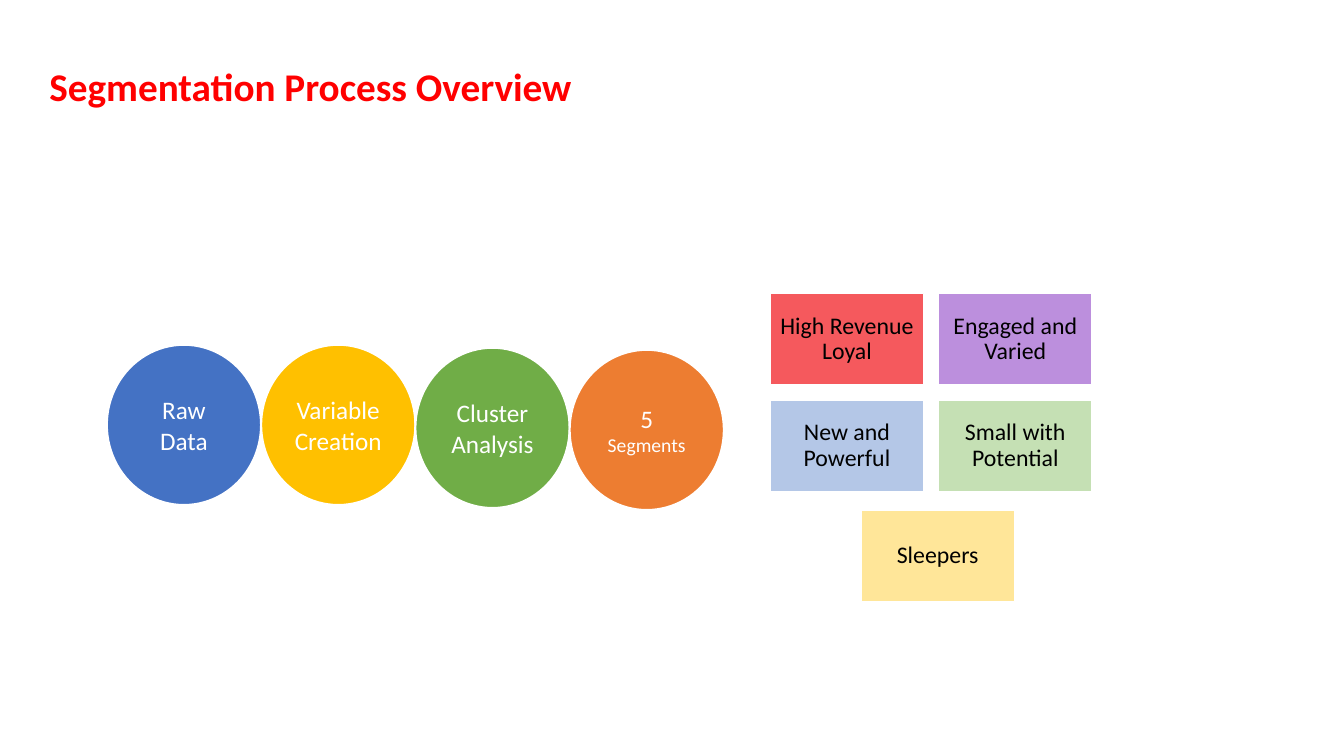
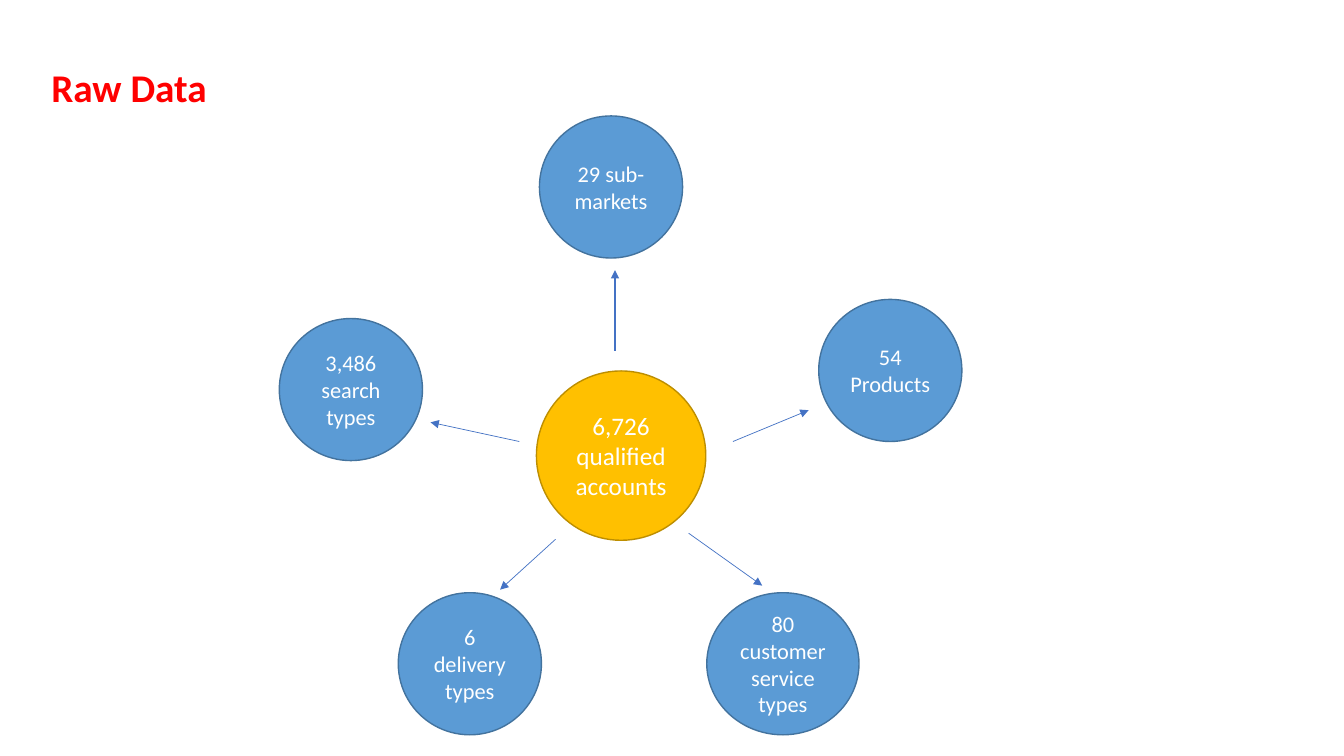
from lxml import etree
from pptx import Presentation
from pptx.dml.color import RGBColor
from pptx.enum.shapes import MSO_CONNECTOR, MSO_SHAPE
from pptx.enum.text import MSO_ANCHOR, PP_ALIGN
from pptx.oxml.ns import qn
from pptx.util import Inches, Pt

OVAL, RECT = MSO_SHAPE.OVAL, MSO_SHAPE.RECTANGLE
LINE = MSO_CONNECTOR.STRAIGHT
MIDDLE = MSO_ANCHOR.MIDDLE
LEFT, CENTER = PP_ALIGN.LEFT, PP_ALIGN.CENTER

WHITE = RGBColor(0xFF, 0xFF, 0xFF)
BLACK = RGBColor(0x00, 0x00, 0x00)
RED = RGBColor(0xFF, 0x00, 0x00)
BLUE = RGBColor(0x44, 0x72, 0xC4)
GOLD = RGBColor(0xFF, 0xC0, 0x00)
GREEN = RGBColor(0x70, 0xAD, 0x47)
ORANGE = RGBColor(0xED, 0x7D, 0x31)
CORAL = RGBColor(0xF5, 0x59, 0x5D)
LILAC = RGBColor(0xBC, 0x8F, 0xDD)
PALE_BLUE = RGBColor(0xB4, 0xC7, 0xE7)
PALE_GREEN = RGBColor(0xC5, 0xE0, 0xB4)
PALE_GOLD = RGBColor(0xFF, 0xE6, 0x99)
SKY = RGBColor(0x5B, 0x9B, 0xD5)
DARK_SKY = RGBColor(0x43, 0x73, 0x9E)
DARK_GOLD = RGBColor(0xBD, 0x8E, 0x00)
FONT = "Calibri"

# Each text is a list of (words, point size) runs.
STEPS = [
    ([("Raw Data", 18)], BLUE, 3.42),
    ([("Variable Creation", 18)], GOLD, 3.42),
    ([("Cluster Analysis", 18)], GREEN, 3.45),
    ([("5 ", 18), ("Segments", 14)], ORANGE, 3.47),
]
SEGMENTS = [
    ("High Revenue Loyal", CORAL),
    ("Engaged and Varied", LILAC),
    ("New and Powerful", PALE_BLUE),
    ("Small with Potential", PALE_GREEN),
    ("Sleepers", PALE_GOLD),
]
HUB = ("6,726 qualified accounts", (5.32, 3.68, 1.68, 1.68))
# Words, left, top and width of each circle around the hub.
FACTS = [
    ("3,486 search types", 2.77, 3.16, 1.42),
    ("29 sub-markets", 5.35, 1.15, 1.42),
    ("54 Products", 8.12, 2.97, 1.42),
    ("6 delivery types", 3.95, 5.88, 1.42),
    ("80 customer service types", 7.01, 5.88, 1.51),
]
FACT_H = 1.41
# Start, end and line width of each arrow.
ARROWS = [
    ((6.1, 3.48), (6.1, 2.68), 1),
    ((5.15, 4.38), (4.27, 4.19), 0.5),
    ((7.27, 4.38), (8.02, 4.07), 0.5),
    ((5.51, 5.35), (4.96, 5.85), 0.5),
    ((6.83, 5.29), (7.56, 5.81), 0.5),
]
STEP_X, STEP_W, STEP_H = 1.06, 1.53, 1.59
GRID_X, GRID_Y, STRIDE_X, STRIDE_Y = 7.64, 2.91, 1.67, 1.06
CARD_W, CARD_H = 1.52, 0.91
LAST_X, LAST_Y = 8.54, 5.06


def assign(item, values):
    """Set each named attribute of an item."""
    for name, value in values.items():
        setattr(item, name, value)


def write(shape, runs, color, align=CENTER, bold=False, pad=None, spacing=1.0):
    """Fill a shape with one paragraph of formatted runs."""
    frame = shape.text_frame
    assign(frame, {"word_wrap": True, "vertical_anchor": MIDDLE})
    if pad is not None:
        sides = ("left", "right", "top", "bottom")
        assign(frame, {f"margin_{side}": Inches(pad) for side in sides})
    para = frame.paragraphs[0]
    assign(para, {"alignment": align, "line_spacing": spacing})
    for words, size in runs:
        run = para.add_run()
        run.text = words
        assign(run.font, {"name": FONT, "size": Pt(size), "bold": bold})
        run.font.color.rgb = color


def add_page(deck, title, left, top):
    """Add a slide with the shared title style."""
    page = deck.slides.add_slide(deck.slide_layouts[5])
    head = page.shapes.title
    assign(head, {"left": Inches(left), "top": Inches(top),
                  "width": Inches(11.5), "height": Inches(1.45)})
    write(head, [(title, 28)], RED, LEFT, bold=True, spacing=0.9)
    return page


def add_node(page, kind, box, fill, edge, weight):
    """Add a filled and outlined shape without a shadow."""
    node = page.shapes.add_shape(kind, *map(Inches, box))
    node.shadow.inherit = False
    node.fill.solid()
    node.fill.fore_color.rgb = fill
    node.line.color.rgb = edge
    node.line.width = Pt(weight)
    return node


def add_arrow(page, start, end, weight):
    """Add a straight line with an arrowhead at its end."""
    arrow = page.shapes.add_connector(LINE, *map(Inches, start + end))
    arrow.line.color.rgb = BLUE
    arrow.line.width = Pt(weight)
    etree.SubElement(arrow.line._get_or_add_ln(), qn("a:tailEnd"),
                     type="triangle")
    etree.SubElement(arrow._element.spPr, qn("a:effectLst"))


def build_overview(deck):
    """Build the chain of steps and the grid of segments."""
    page = add_page(deck, "Segmentation Process Overview", 0.39, 0.16)
    for i, (runs, fill, top) in enumerate(STEPS):
        box = (STEP_X + i * STEP_W, top, STEP_W, STEP_H)
        write(add_node(page, OVAL, box, fill, WHITE, 1.5), runs, WHITE)
    spots = [(GRID_X + col * STRIDE_X, GRID_Y + row * STRIDE_Y)
             for row in range(2) for col in range(2)]
    spots.append((LAST_X, LAST_Y))
    for (words, fill), spot in zip(SEGMENTS, spots):
        card = add_node(page, RECT, spot + (CARD_W, CARD_H), fill, WHITE, 1)
        write(card, [(words, 17)], BLACK, pad=0.07, spacing=0.9)


def build_data(deck):
    """Build the hub, the circles around it and the arrows."""
    page = add_page(deck, "Raw Data", 0.41, 0.17)
    words, box = HUB
    hub = add_node(page, OVAL, box, GOLD, DARK_GOLD, 1)
    write(hub, [(words, 18)], WHITE)
    for words, left, top, width in FACTS:
        box = (left, top, width, FACT_H)
        fact = add_node(page, OVAL, box, SKY, DARK_SKY, 1)
        write(fact, [(words, 16)], WHITE)
    for start, end, weight in ARROWS:
        add_arrow(page, start, end, weight)


deck = Presentation()
deck.slide_width, deck.slide_height = Inches(13.33), Inches(7.5)
build_overview(deck)
build_data(deck)
deck.save("out.pptx")
